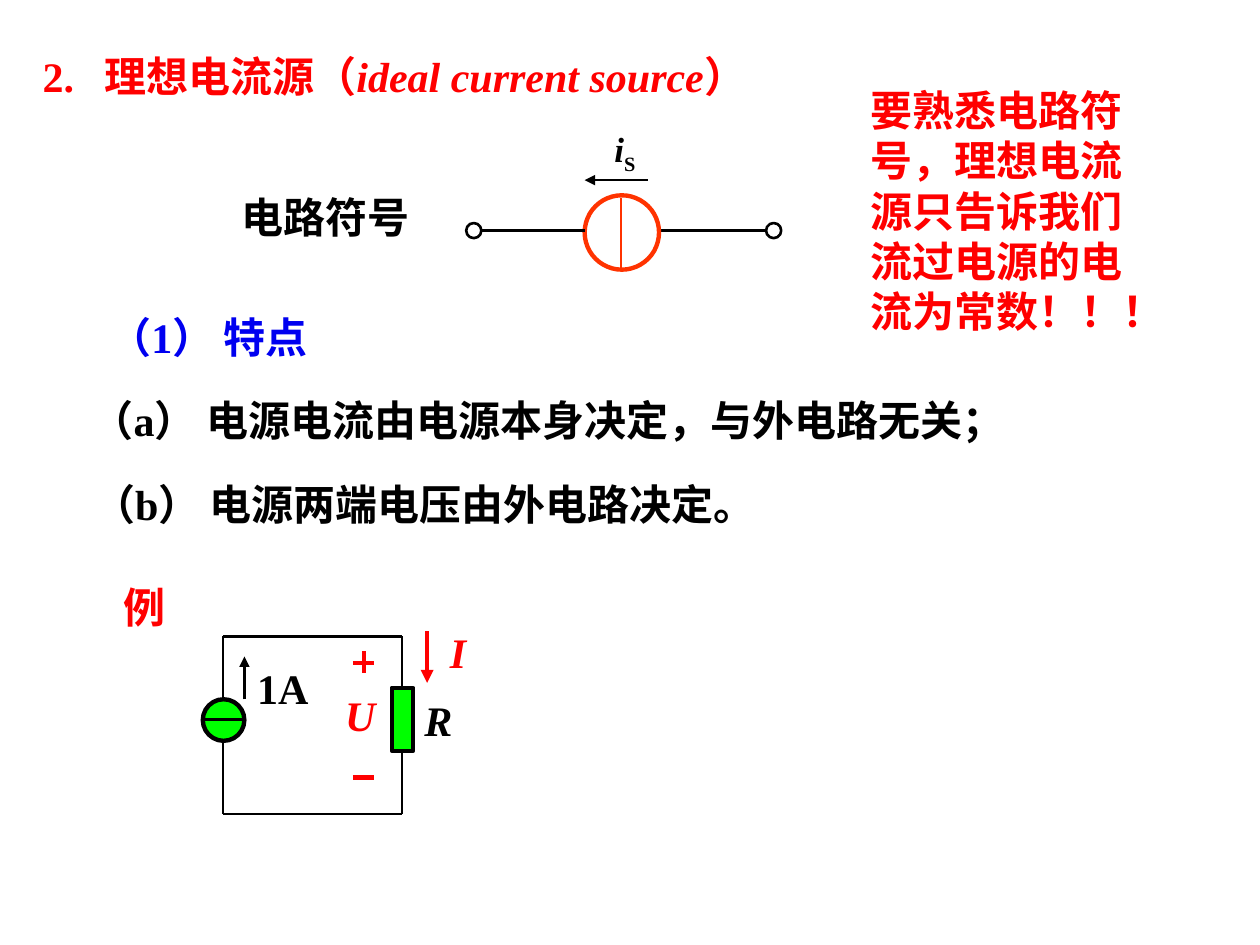
from dataclasses import dataclass

from lxml.etree import SubElement
from pptx import Presentation
from pptx.dml.color import RGBColor
from pptx.enum.shapes import MSO_CONNECTOR, MSO_SHAPE
from pptx.enum.text import MSO_ANCHOR, PP_ALIGN
from pptx.oxml.ns import qn
from pptx.util import Inches, Pt

COLORS = {
    "black": "000000",
    "red": "FF0000",
    "blue": "0000F0",
    "orange": "FF3300",
    "green": "00FF00",
}
FONT = "Times New Roman"
LEFT, CENTER, JUSTIFY = PP_ALIGN.LEFT, PP_ALIGN.CENTER, PP_ALIGN.JUSTIFY


@dataclass
class Run:
    text: str
    italic: bool = False
    subscript: bool = False


@dataclass
class Label:
    box: tuple
    runs: list
    color: str = "black"
    align: PP_ALIGN = LEFT
    size: int = 24
    wrap: bool = True
    anchor: MSO_ANCHOR = MSO_ANCHOR.MIDDLE
    tab: float = 0


@dataclass
class Wire:
    start: tuple
    end: tuple
    color: str = "black"
    width: float = 1.5
    arrow: bool = False


@dataclass
class Part:
    kind: MSO_SHAPE
    box: tuple
    line: str = "black"
    width: float = 2.5
    fill: str = ""


def rgb(name: str) -> RGBColor:
    return RGBColor.from_string(COLORS[name])


def add_label(slide, label: Label) -> None:
    tb = slide.shapes.add_textbox(*map(Inches, label.box))
    tf = tb.text_frame
    tf.word_wrap = label.wrap
    tf.vertical_anchor = label.anchor
    p = tf.paragraphs[0]
    p.alignment = label.align
    if label.tab:
        tabs = SubElement(p._p.get_or_add_pPr(), qn("a:tabLst"))
        SubElement(tabs, qn("a:tab"), pos=str(Inches(label.tab)), algn="l")
    for run in label.runs:
        r = p.add_run()
        r.text = run.text
        r.font.name = FONT
        r.font.size = Pt(label.size)
        r.font.bold = True
        r.font.italic = run.italic
        r.font.color.rgb = rgb(label.color)
        if run.subscript:
            r._r.get_or_add_rPr().set("baseline", "-25000")


def add_wire(slide, wire: Wire) -> None:
    cxn = slide.shapes.add_connector(
        MSO_CONNECTOR.STRAIGHT, *map(Inches, wire.start + wire.end))
    cxn.line.color.rgb = rgb(wire.color)
    cxn.line.width = Pt(wire.width)
    if wire.arrow:
        SubElement(cxn.line._get_or_add_ln(), qn("a:tailEnd"), type="triangle")
    SubElement(cxn._element.spPr, qn("a:effectLst"))


def add_part(slide, part: Part) -> None:
    sp = slide.shapes.add_shape(part.kind, *map(Inches, part.box))
    sp.shadow.inherit = False
    sp.line.color.rgb = rgb(part.line)
    sp.line.width = Pt(part.width)
    if part.fill:
        sp.fill.solid()
        sp.fill.fore_color.rgb = rgb(part.fill)
    else:
        sp.fill.background()


# Heading, statements and side note
TEXTS = [
    Label((0.24, 0.28, 6.85, 0.64),
          [Run("2.\t理想电流源（"), Run("ideal current source", italic=True), Run("）")],
          "red", JUSTIFY, tab=0.49),
    Label((0.51, 2.42, 2.29, 0.5), [Run("（1） 特点")], "blue", CENTER),
    Label((0.63, 3.08, 7.8, 0.5),
          [Run("（a） 电源电流由电源本身决定，与外电路无关；")], align=JUSTIFY),
    Label((0.64, 3.75, 6.34, 0.5),
          [Run("（b） 电源两端电压由外电路决定。")], align=JUSTIFY),
    Label((1.81, 1.47, 1.55, 0.5), [Run("电路符号")], align=CENTER),
    Label((0.88, 4.57, 0.85, 0.5), [Run("例")], "red", anchor=MSO_ANCHOR.TOP),
    Label((6.81, 0.62, 2.52, 2.52),
          [Run("要熟悉电路符号，理想电流源只告诉我们流过电源的电流为常数！！！")],
          "red", anchor=MSO_ANCHOR.TOP),
]

# Symbol of the current source
SYMBOL = [
    Label((4.77, 0.99, 0.38, 0.43), [Run("i", italic=True), Run("S", subscript=True)],
          align=CENTER, size=20, wrap=False),
    Wire((5.14, 1.43), (4.64, 1.43), arrow=True),
    Wire((6.08, 1.83), (5.23, 1.83)),
    Part(MSO_SHAPE.OVAL, (4.64, 1.55, 0.59, 0.59), "orange"),
    *[Part(MSO_SHAPE.OVAL, (x, 1.77, 0.12, 0.12), width=1.5) for x in (6.08, 3.7)],
    Wire((4.64, 1.83), (3.82, 1.83)),
    Wire((4.93, 1.57), (4.93, 2.14), "orange"),
]

# Example circuit: voltage and current marks, then the loop
X1, X2, Y1, Y2 = 1.77, 3.19, 5.05, 6.46
CIRCUIT = [
    *[Wire((2.8, y), (2.97, y), "red", 2.5) for y in (6.17, 5.26)],
    Wire((2.89, 5.34), (2.89, 5.17), "red", 2.5),
    Label((2.64, 5.42, 0.44, 0.5), [Run("U", italic=True)], "red", CENTER, wrap=False),
    Wire((3.39, 5.01), (3.39, 5.42), "red", 2.5, arrow=True),
    Label((3.47, 4.92, 0.33, 0.5), [Run("I", italic=True)], "red", CENTER, wrap=False),
    Part(MSO_SHAPE.OVAL, (1.61, 5.55, 0.33, 0.33), fill="green"),
    Wire((X2, Y1), (X2, Y2)),
    Part(MSO_SHAPE.RECTANGLE, (3.11, 5.46, 0.17, 0.5), fill="green"),
    *[Wire((X1, y), (X2, y)) for y in (Y1, Y2)],
    Label((3.27, 5.46, 0.42, 0.5), [Run("R", italic=True)], wrap=False),
    Label((1.94, 5.21, 0.61, 0.5), [Run("1A")], align=CENTER, wrap=False),
    Wire((X1, Y1), (X1, 5.55)),
    Wire((X1, 5.88), (X1, Y2)),
    Wire((1.61, 5.71), (1.94, 5.71)),
    Wire((1.94, 5.55), (1.94, 5.21), arrow=True),
]

DRAW = {Label: add_label, Wire: add_wire, Part: add_part}


def main() -> None:
    prs = Presentation()
    prs.slide_width, prs.slide_height = Inches(10), Inches(7.5)
    s = prs.slides.add_slide(prs.slide_layouts[6])
    for item in TEXTS + SYMBOL + CIRCUIT:
        DRAW[type(item)](s, item)
    prs.save("out.pptx")


if __name__ == "__main__":
    main()
